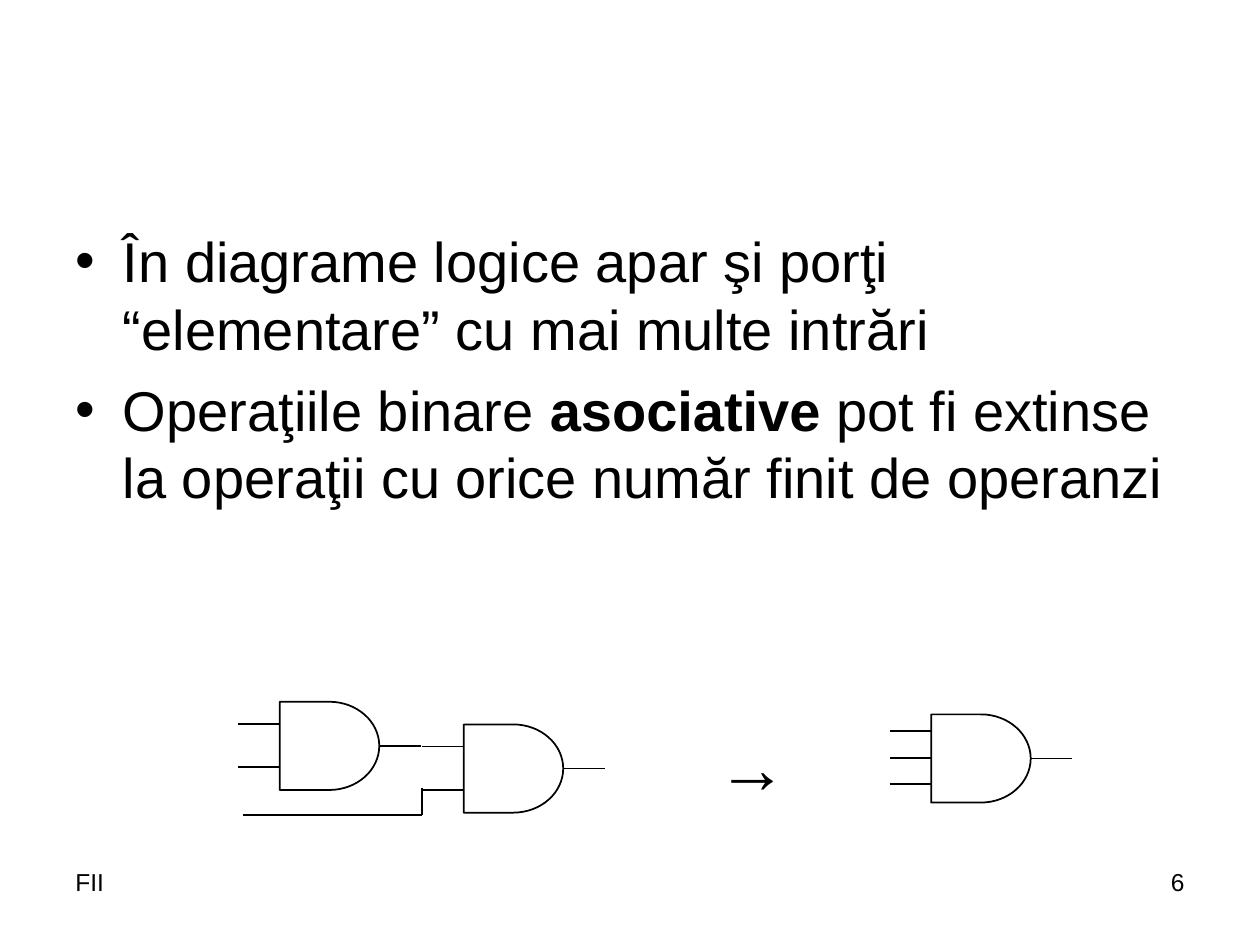
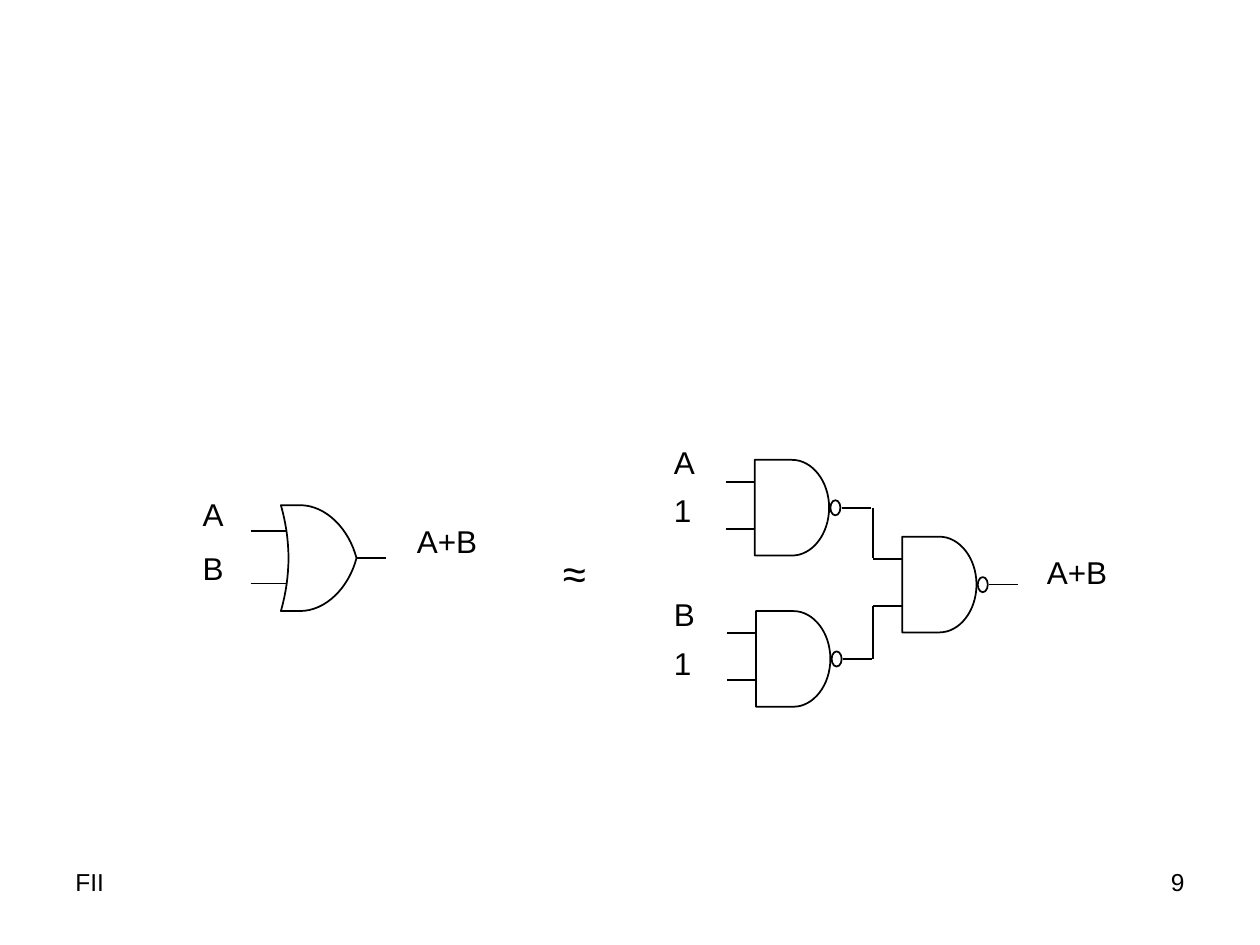
"""Build two slides on logic gates: associative gates and an OR made of NANDs."""
from lxml.etree import SubElement
from pptx import Presentation
from pptx.dml.color import RGBColor
from pptx.enum.shapes import MSO_CONNECTOR, MSO_SHAPE
from pptx.enum.text import MSO_AUTO_SIZE, PP_ALIGN
from pptx.oxml.ns import qn
from pptx.util import Inches, Pt

COLOURS = {"ink": "000000"}
FONT = "Arial"
TITLE_AND_CONTENT, BLANK = 1, 6
ARC = 0.55
CURVE_STEPS = 16


def ink():
    return RGBColor.from_string(COLOURS["ink"])


def add_run(paragraph, text, size, bold=False):
    run = paragraph.add_run()
    run.text = text
    run.font.name = FONT
    run.font.size = Pt(size)
    run.font.bold = bold
    run.font.color.rgb = ink()


def add_label(slide, text, left, top, width, height=0.4, size=18, align=PP_ALIGN.LEFT):
    label = slide.shapes.add_textbox(Inches(left), Inches(top), Inches(width), Inches(height))
    label.text_frame.word_wrap = True
    paragraph = label.text_frame.paragraphs[0]
    paragraph.alignment = align
    add_run(paragraph, text, size)


def add_footer(slide, number):
    add_label(slide, number, 7.17, 6.83, 2.33, 0.52, 14, PP_ALIGN.RIGHT)
    add_label(slide, "FII", 0.5, 6.83, 2.33, 0.52, 14)


def add_bullets(slide, bullets):
    slide.shapes.title.element.getparent().remove(slide.shapes.title.element)
    body = slide.placeholders[1]
    body.left, body.top, body.width, body.height = map(Inches, (0.5, 1.75, 9, 4.95))
    frame = body.text_frame
    frame.auto_size = MSO_AUTO_SIZE.NONE
    for index, pieces in enumerate(bullets):
        paragraph = frame.add_paragraph() if index else frame.paragraphs[0]
        paragraph.space_before = Pt(8)
        for text, bold in pieces:
            add_run(paragraph, text, 32, bold)


def add_wire(slide, *points):
    for start, end in zip(points, points[1:]):
        wire = slide.shapes.add_connector(
            MSO_CONNECTOR.STRAIGHT, *map(Inches, (*start, *end)))
        wire.line.color.rgb = ink()
        wire.line.width = Pt(1)
        SubElement(wire._element.spPr, qn("a:effectLst"))


def style_outline(shape):
    shape.shadow.inherit = False
    shape.fill.background()
    shape.line.color.rgb = ink()
    shape.line.width = Pt(1)


def curve(start, control_1, control_2, end):
    """Return points along a cubic curve."""
    points = []
    for step in range(CURVE_STEPS + 1):
        t = step / CURVE_STEPS
        weights = ((1 - t) ** 3, 3 * t * (1 - t) ** 2, 3 * t ** 2 * (1 - t), t ** 3)
        corners = (start, control_1, control_2, end)
        points.append(tuple(
            sum(weight * corner[axis] for weight, corner in zip(weights, corners))
            for axis in (0, 1)))
    return points


def add_outline(slide, points):
    emu_points = [(Inches(x), Inches(y)) for x, y in points]
    builder = slide.shapes.build_freeform(*emu_points[0])
    builder.add_line_segments(emu_points[1:], close=True)
    style_outline(builder.convert_to_shape())


def add_and_gate(slide, x, y, width, height, inputs, lead, negated=False):
    """Draw an AND gate, or a NAND gate, with its input and output leads."""
    shoulder, nose = x + width / 2, x + width
    middle, bottom = y + height / 2, y + height
    reach, rise = ARC * width / 2, ARC * height / 2
    add_outline(slide, [
        (x, y),
        *curve((shoulder, y), (shoulder + reach, y), (nose, middle - rise), (nose, middle)),
        *curve((nose, middle), (nose, middle + rise), (shoulder + reach, bottom),
               (shoulder, bottom)),
        (x, bottom),
    ])
    for share in inputs:
        level = y + share * height
        add_wire(slide, (x - lead, level), (x, level))
    if negated:
        bubble = slide.shapes.add_shape(
            MSO_SHAPE.OVAL, *map(Inches, (nose + 0.01, middle - 0.06, 0.08, 0.12)))
        style_outline(bubble)
        nose += 0.1
    add_wire(slide, (nose, middle), (nose + lead, middle))


def add_or_gate(slide, x, y, width, height):
    """Draw an OR gate with two inputs and one output."""
    shoulder, nose = x + 0.15, x + width
    middle, bottom = y + height / 2, y + height
    add_outline(slide, [
        *curve((shoulder, y), (shoulder + 0.21, y), (nose - 0.06, y + 0.19), (nose, middle)),
        *curve((nose, middle), (nose - 0.06, bottom - 0.19), (shoulder + 0.21, bottom),
               (shoulder, bottom)),
        *curve((x, bottom), (x + 0.08, bottom - 0.28), (x + 0.08, y + 0.28), (x, y)),
    ])
    for share in (0.24, 0.74):
        level = y + share * height
        add_wire(slide, (x - 0.24, level), (x + 0.04, level))
    add_wire(slide, (nose, middle), (nose + 0.23, middle))


def build_associative(deck):
    slide = deck.slides.add_slide(deck.slide_layouts[TITLE_AND_CONTENT])
    add_bullets(slide, [
        [("În diagrame logice apar şi porţi “elementare” cu mai multe intrări", False)],
        [("Operaţiile binare ", False), ("asociative", True),
         (" pot fi extinse la operaţii cu orice număr finit de operanzi", False)],
    ])
    two_inputs, three_inputs = (0.25, 0.74), (0.19, 0.49, 0.79)
    for x, y, inputs in ((2.22, 5.57, two_inputs), (3.68, 5.75, two_inputs),
                         (7.39, 5.67, three_inputs)):
        add_and_gate(slide, x, y, 0.79, 0.7, inputs, 0.33)
    add_wire(slide, (1.93, 6.47), (3.35, 6.47), (3.35, 6.25))
    add_label(slide, "→", 5.52, 5.69, 0.9, 0.75, 40, PP_ALIGN.CENTER)
    add_footer(slide, "6")


def build_or_from_nand(deck):
    slide = deck.slides.add_slide(deck.slide_layouts[BLANK])
    add_or_gate(slide, 2.23, 4.01, 0.6, 0.84)
    for text, left, top in (("A", 1.51, 3.88), ("B", 1.51, 4.31),
                            ("A", 5.25, 3.47), ("1", 5.25, 3.85),
                            ("B", 5.25, 4.67), ("1", 5.25, 5.06)):
        add_label(slide, text, left, top, 0.4)
    for left, top in ((3.21, 4.09), (8.21, 4.34)):
        add_label(slide, "A+B", left, top, 0.7)
    add_label(slide, "≈", 4.37, 4.3, 0.4, 0.5, 24)
    for x, y in ((5.99, 3.65), (6, 4.85), (7.16, 4.26)):
        add_and_gate(slide, x, y, 0.59, 0.76, (0.23, 0.72), 0.23, negated=True)
    add_wire(slide, (6.93, 4.03), (6.93, 4.43))
    add_wire(slide, (6.93, 4.81), (6.93, 5.23))
    add_footer(slide, "9")


def main():
    deck = Presentation()
    deck.slide_width, deck.slide_height = Inches(10), Inches(7.5)
    build_associative(deck)
    build_or_from_nand(deck)
    deck.save("out.pptx")


if __name__ == "__main__":
    main()
